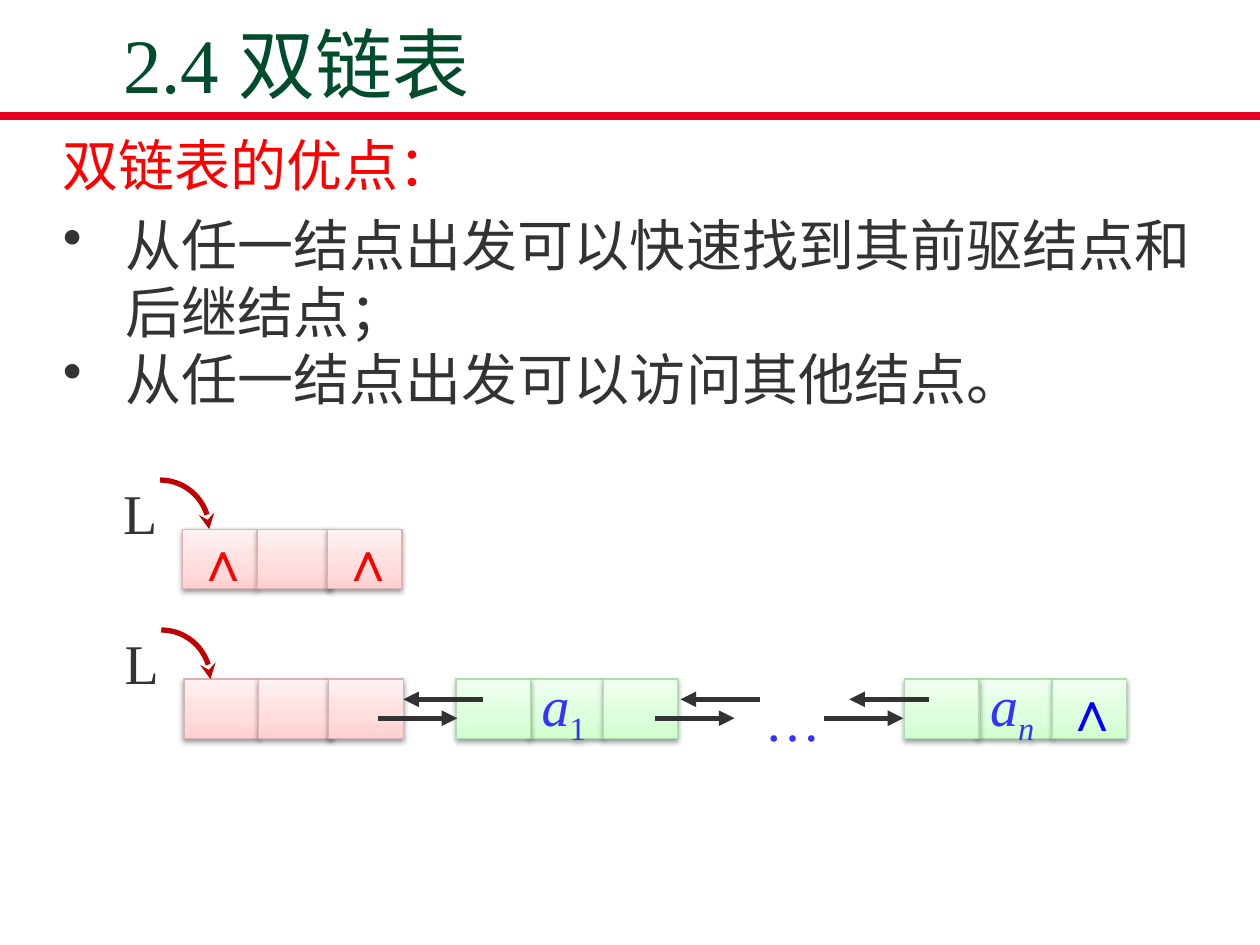
from copy import deepcopy
from math import cos, pi, sin

from lxml.etree import SubElement
from pptx import Presentation
from pptx.dml.color import RGBColor
from pptx.enum.shapes import MSO_CONNECTOR as Connector, MSO_SHAPE as Preset
from pptx.enum.text import MSO_ANCHOR as Anchor, MSO_AUTO_SIZE as AutoSize, PP_ALIGN as Align
from pptx.oxml.ns import qn
from pptx.util import Inches, Pt

# The slide is a grid of 100 columns and 75 rows with square cells
SLIDE_W, SLIDE_H = Inches(10), Inches(7.5)
COL, ROW = SLIDE_W / 100, SLIDE_H / 75

INK, RED, BLUE = "333333", "FF0000", "3333FF"
CELL_W, CELL_H, ARC = 5.9, 4.7, 3.9
ARROW_W = 6.3

# Stops run from the bottom of a cell to its top
HEAD_NODE = {"stops": [(0, "FFD0D0"), (0.35, "FFDDDD"), (1, "FFF2F2")], "edge": "DDB2B2",
             "offsets": (0, 5.9, 11.5), "order": (0, 1, 2)}
DATA_NODE = {"stops": [(0, "CFFFCF"), (0.35, "DCFFDC"), (1, "F1FFF1")], "edge": "AEDDAE",
             "offsets": (0, 5.8, 11.7), "order": (1, 2, 0)}


def place(col, row, cols, rows):
    return [int(v) for v in (col * COL, row * ROW, cols * COL, rows * ROW)]


def paint(color_format, color):
    color_format.rgb = RGBColor.from_string(color)


def set_all(target, values):
    for name, value in values.items():
        setattr(target, name, value)


def add_run(paragraph, text, color, size=32, **style):
    run = paragraph.add_run()
    run.text = text
    set_all(run.font, {"name": "Times New Roman", "size": Pt(size), **style})
    paint(run.font.color, color)
    return run


def add_text(slide, area, lines, color, size=32, bullets=False, **frame_values):
    frame = slide.shapes.add_textbox(*place(*area)).text_frame
    set_all(frame, {"word_wrap": True, "auto_size": AutoSize.SHAPE_TO_FIT_TEXT, **frame_values})
    for number, line in enumerate(lines):
        paragraph = frame.add_paragraph() if number else frame.paragraphs[0]
        if bullets:
            props = paragraph._p.get_or_add_pPr()
            props.set("marL", str(Inches(0.5)))
            props.set("indent", str(-Inches(0.5)))
            SubElement(props, qn("a:buChar"), char="•")
        add_run(paragraph, line, color, size)


def add_line(slide, start, end, color, width, arrow_at=None):
    ends = [int(v) for v in (start[0] * COL, start[1] * ROW, end[0] * COL, end[1] * ROW)]
    line = slide.shapes.add_connector(Connector.STRAIGHT, *ends)
    line.line.width = Pt(width)
    paint(line.line.color, color)
    if arrow_at:
        SubElement(line.line._get_or_add_ln(), qn(f"a:{arrow_at}"), type="triangle")
    SubElement(line._element.spPr, qn("a:effectLst"))


def add_shadow(shape):
    shape.shadow.inherit = False
    effects = shape._element.spPr.find(qn("a:effectLst"))
    shadow = SubElement(effects, qn("a:outerShdw"), blurRad=str(Pt(3.1)), dist=str(Pt(1.6)),
                        dir="5400000", rotWithShape="0")
    black = SubElement(shadow, qn("a:srgbClr"), val="000000")
    SubElement(black, qn("a:alpha"), val="38000")


def add_cell(slide, col, row, look, label):
    cell = slide.shapes.add_shape(Preset.RECTANGLE, *place(col, row, CELL_W, CELL_H))
    cell.fill.gradient()
    cell.fill.gradient_angle = 90
    stop_list = next(cell._element.spPr.iter(qn("a:gsLst")))
    stop_list.append(deepcopy(stop_list[0]))
    for stop, (position, color) in zip(cell.fill.gradient_stops, look["stops"]):
        stop.position = position
        paint(stop.color, color)
    cell.line.width = Pt(0.75)
    paint(cell.line.color, look["edge"])
    add_shadow(cell)
    if label:
        base, subscript, color, italics = label
        set_all(cell.text_frame, {"word_wrap": False, "vertical_anchor": Anchor.MIDDLE})
        paragraph = cell.text_frame.paragraphs[0]
        paragraph.alignment = Align.LEFT
        add_run(paragraph, base, color, italic=italics[0])
        if subscript:
            lowered = add_run(paragraph, subscript, color, italic=italics[1])
            lowered.font._element.set("baseline", "-25000")


def add_node(slide, col, row, look, labels=(None, None, None)):
    """Prior pointer, data and next pointer; the order sets which cell overlaps."""
    for part in look["order"]:
        add_cell(slide, col + look["offsets"][part], row, look, labels[part])


def add_list_pointer(slide, col, row):
    """The letter L and a quarter arc that ends on top of the head node."""
    add_text(slide, (col, row - 0.6, 4.7, 6.4), ["L"], INK)
    left, steps = col + 3.9, 16
    curve = [((left + ARC * sin(i / steps * pi / 2)) * COL,
              (row + ARC - ARC * cos(i / steps * pi / 2)) * ROW) for i in range(steps + 1)]
    builder = slide.shapes.build_freeform(*curve[0])
    builder.add_line_segments(curve[1:], close=False)
    arc = builder.convert_to_shape()
    arc.fill.background()
    arc.shadow.inherit = False
    arc.line.width = Pt(3)
    paint(arc.line.color, "C00000")
    SubElement(arc.line._get_or_add_ln(), qn("a:tailEnd"), type="stealth")


def add_links(slide, col):
    """Next link pointing right, and prior link two columns on pointing left."""
    for start, row, arrow_at in ((col, 57, "tailEnd"), (col + 2, 55.5, "headEnd")):
        add_line(slide, (start, row), (start + ARROW_W, row), INK, 3, arrow_at)


def main():
    prs = Presentation()
    set_all(prs, {"slide_width": SLIDE_W, "slide_height": SLIDE_H})
    slide = prs.slides.add_slide(prs.slide_layouts[6])

    # Title and rule
    add_line(slide, (0, 9.2), (100, 9.2), "E60223", 4.5)
    add_text(slide, (8.8, 2.6, 88.3, 6.5), ["2.4 双链表"], "004C2B", 44,
             auto_size=AutoSize.NONE, vertical_anchor=Anchor.BOTTOM)

    # Advantages
    add_text(slide, (4, 9.9, 54.3, 6.4), ["双链表的优点："], RED)
    add_text(slide, (4, 16.2, 93.1, 17.2),
             ["从任一结点出发可以快速找到其前驱结点和后继结点；", "从任一结点出发可以访问其他结点。"],
             INK, bullets=True)

    # Empty list
    red_null = ("∧", "", RED, (None, None))
    add_node(slide, 14.5, 42, HEAD_NODE, (red_null, None, red_null))
    add_list_pointer(slide, 8.8, 38.1)

    # List with n nodes
    first = ("a", "1", BLUE, (True, False))
    last = ("a", "n", BLUE, (True, True))
    blue_null = ("∧", "", "0000FF", (None, None))
    add_node(slide, 14.6, 53.9, HEAD_NODE)
    add_node(slide, 36.2, 53.9, DATA_NODE, (None, first, None))
    add_node(slide, 71.8, 53.9, DATA_NODE, (None, last, blue_null))
    add_list_pointer(slide, 8.9, 50)
    add_text(slide, (59.7, 53.9, 6.3, 6.4), ["…"], BLUE)
    for col in (30, 52, 65.4):
        add_links(slide, col)

    prs.save("out.pptx")


if __name__ == "__main__":
    main()
